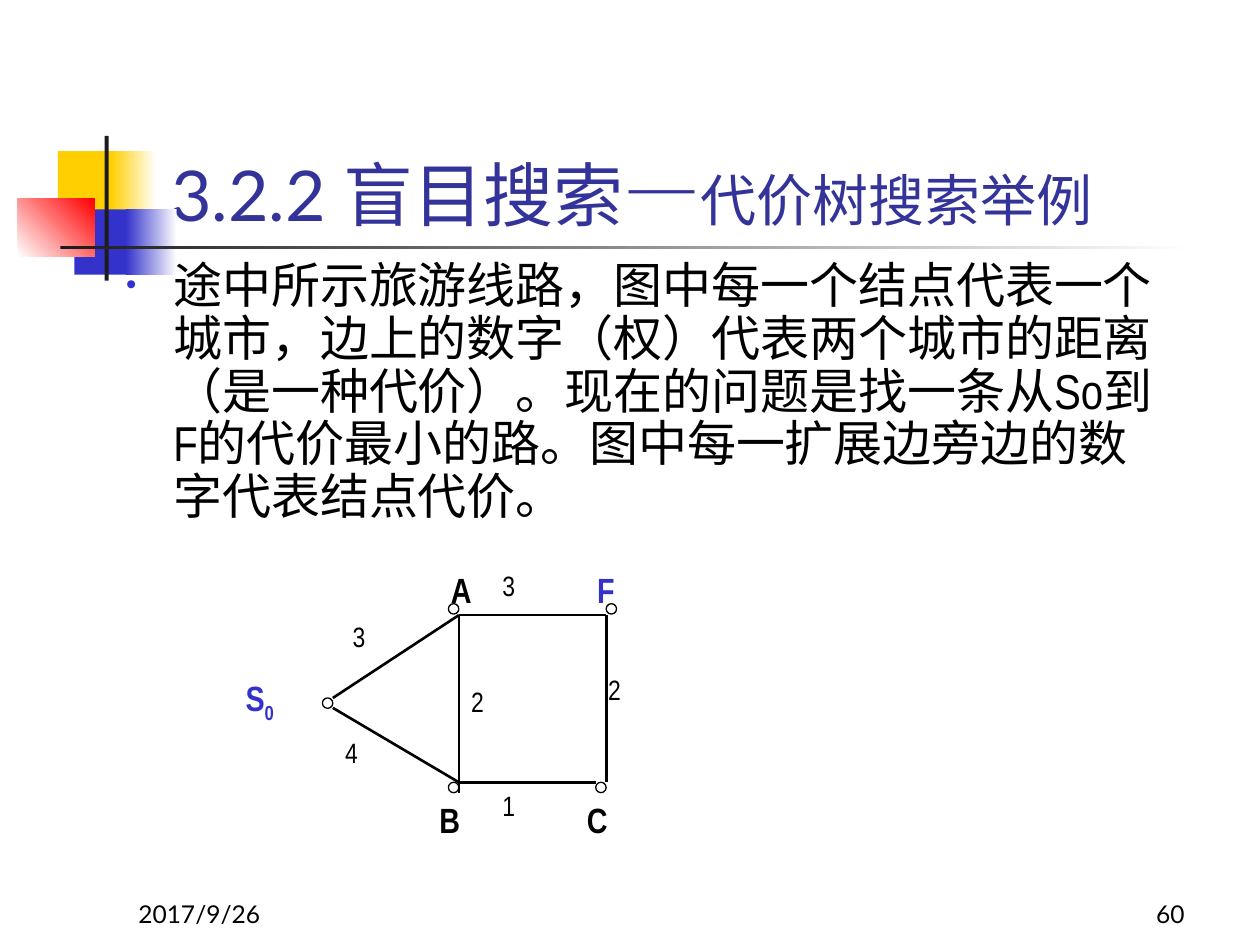
from dataclasses import dataclass
from typing import NamedTuple, Optional

from lxml.etree import SubElement as Sub
from pptx import Presentation
from pptx.dml.color import RGBColor as Rgb
from pptx.enum.shapes import MSO_CONNECTOR as Link, MSO_SHAPE as Kind
from pptx.enum.text import MSO_ANCHOR as Anchor, MSO_AUTO_SIZE as Fit, PP_ALIGN as Align
from pptx.oxml.ns import qn
from pptx.util import Cm, Pt


@dataclass(frozen=True)
class Theme:
    black: str = "000000"
    dark: str = "1C1C1C"
    white: str = "FFFFFF"
    gold: str = "FFCF01"
    red: str = "FF0000"
    blue: str = "3333CC"
    navy: str = "333399"
    sans: str = "Lato"
    slim: str = "Arial Narrow"
    head: int = 40
    dash: int = 44
    sub: int = 32
    body: int = 28
    name: int = 20
    cost: int = 16
    foot: int = 14


T = Theme()


class Box(NamedTuple):
    x: float
    y: float
    w: float
    h: float


class Bar(NamedTuple):
    box: Box
    start: str
    end: Optional[str] = None
    angle: int = 0


class Label(NamedTuple):
    text: str
    x: float
    y: float
    color: str = T.black
    low: str = ""


class Edge(NamedTuple):
    x1: float
    y1: float
    x2: float
    y2: float


# Ornament beside the title
BARS = [
    Bar(Box(1.17, 3.05, 1.22, 1.32), T.gold),
    Bar(Box(2.24, 3.05, 0.91, 1.32), T.gold, T.white),
    Bar(Box(1.5, 4.22, 1.17, 1.32), T.blue),
    Bar(Box(2.54, 4.22, 1.02, 1.32), T.blue, T.white),
    Bar(Box(0.36, 4.01, 1.55, 1.17), T.white, T.red, 45),
    Bar(Box(2.11, 2.74, 0.08, 2.92), T.dark),
    Bar(Box(1.22, 4.95, 22.86, 0.08), T.dark, T.white),
]

# Route graph
LEFT, RIGHT, TOP, BASE = 9.25, 12.22, 12.4, 15.77
START, DOT = 6.71, 0.21
DOTS = [(6.5, 14.07), (9.04, 12.17), (RIGHT, 12.17), (9.04, BASE), (12.01, BASE)]
EDGES = [
    Edge(LEFT, TOP, RIGHT, TOP),
    Edge(LEFT, BASE, 12.01, BASE),
    Edge(RIGHT, TOP, RIGHT, BASE),
    Edge(LEFT, TOP, LEFT, 15.98),
    Edge(START, 14.07, LEFT, TOP),
    Edge(START, 14.27, LEFT, BASE),
]
NAMES = [
    Label("S", 4.7, 13.51, T.blue, "0"),
    Label("A", 8.84, 11.33),
    Label("F", 11.79, 11.33, T.blue),
    Label("B", 8.61, 15.98),
    Label("C", 11.58, 15.98),
]
COSTS = [
    Label("3", 6.86, 12.37),
    Label("3", 9.88, 11.33),
    Label("2", LEFT, 13.67),
    Label("2", 12.01, 13.44),
    Label("4", START, 14.71),
    Label("1", 9.88, BASE),
]
BODY = ("途中所示旅游线路，图中每一个结点代表一个城市，边上的数字（权）代表两个城市的距离"
        "（是一种代价）。现在的问题是找一条从So到F的代价最小的路。"
        "图中每一扩展边旁边的数字代表结点代价。")


def place(shape, box: Box) -> None:
    shape.left, shape.top, shape.width, shape.height = map(Cm, box)


def style(run, font: str, size: int, color: str, bold: bool = False) -> None:
    run.font.name, run.font.size, run.font.bold = font, Pt(size), bold
    run.font.color.rgb = Rgb.from_string(color)


def draw_bar(slide, bar: Bar) -> None:
    shape = slide.shapes.add_shape(Kind.RECTANGLE, *map(Cm, bar.box))
    shape.shadow.inherit = False
    shape.line.fill.background()
    if bar.end is None:
        shape.fill.solid()
        shape.fill.fore_color.rgb = Rgb.from_string(bar.start)
        return
    shape.fill.gradient()
    shape.fill.gradient_angle = bar.angle
    for stop, color in zip(shape.fill.gradient_stops, (bar.start, bar.end)):
        stop.color.rgb = Rgb.from_string(color)


def draw_dot(slide, x: float, y: float) -> None:
    dot = slide.shapes.add_shape(Kind.OVAL, *map(Cm, (x, y, DOT, DOT)))
    dot.shadow.inherit = False
    dot.fill.background()
    dot.line.color.rgb = Rgb.from_string(T.black)
    dot.line.width = Pt(0.75)


def draw_edge(slide, edge: Edge) -> None:
    line = slide.shapes.add_connector(Link.STRAIGHT, *map(Cm, edge))
    line.line.color.rgb = Rgb.from_string(T.black)
    line.line.width = Pt(1.5)
    Sub(line._element.spPr, qn("a:effectLst"))


def draw_label(slide, label: Label, size: int, high: float, bold: bool) -> None:
    frame = slide.shapes.add_textbox(*map(Cm, (label.x, label.y, 1.7, high))).text_frame
    frame.word_wrap, frame.auto_size = True, Fit.SHAPE_TO_FIT_TEXT
    frame.text = label.text
    para = frame.paragraphs[0]
    if label.low:
        low = para.add_run()
        low.text = label.low
        low.font._element.set("baseline", "-25000")
    for run in para.runs:
        style(run, T.slim, size, label.color, bold)


def draw_foot(slide, text: str, x: float, align: Align) -> None:
    frame = slide.shapes.add_textbox(*map(Cm, (x, 17.58, 5.28, 1.27))).text_frame
    frame.word_wrap, frame.vertical_anchor = True, Anchor.BOTTOM
    frame.text = text
    frame.paragraphs[0].alignment = align
    style(frame.paragraphs[0].runs[0], T.sans, T.foot, T.black)


def fill_title(shape) -> None:
    place(shape, Box(3.2, 1.73, 21.64, 3.18))
    frame = shape.text_frame
    frame.auto_size, frame.vertical_anchor = Fit.NONE, Anchor.BOTTOM
    frame.text = "3.2.2 盲目搜索"
    para = frame.paragraphs[0]
    para.alignment = Align.LEFT
    for text in ("—", "代价树搜索举例"):
        para.add_run().text = text
    for run, size in zip(para.runs, (T.head, T.dash, T.sub)):
        style(run, T.sans, size, T.navy)


def fill_body(shape) -> None:
    place(shape, Box(2.29, 5.13, 21.59, 6.05))
    frame = shape.text_frame
    frame.auto_size = Fit.NONE
    frame.text = BODY
    para = frame.paragraphs[0]
    para.line_spacing, para.space_before = 0.9, Pt(0)
    props = para._p.get_or_add_pPr()
    props.set("marL", str(Cm(0.95)))
    props.set("indent", str(-Cm(0.95)))
    Sub(Sub(props, qn("a:buClr")), qn("a:srgbClr"), val=T.blue)
    Sub(props, qn("a:buSzPct"), val="60000")
    Sub(props, qn("a:buChar"), char="•")
    style(para.runs[0], T.slim, T.body, T.black)


def main() -> None:
    deck = Presentation()
    deck.slide_width, deck.slide_height = Cm(25.4), Cm(19.05)
    slide = deck.slides.add_slide(deck.slide_layouts[1])
    for bar in BARS:
        draw_bar(slide, bar)
    fill_title(slide.shapes.title)
    fill_body(slide.placeholders[1])
    for dot in DOTS:
        draw_dot(slide, *dot)
    for edge in EDGES:
        draw_edge(slide, edge)
    for label in NAMES:
        draw_label(slide, label, T.name, 1.09, True)
    for label in COSTS:
        draw_label(slide, label, T.cost, 0.94, False)
    draw_foot(slide, "2017/9/26", 2.54, Align.LEFT)
    draw_foot(slide, "60", 18.85, Align.RIGHT)
    deck.save("out.pptx")


if __name__ == "__main__":
    main()
